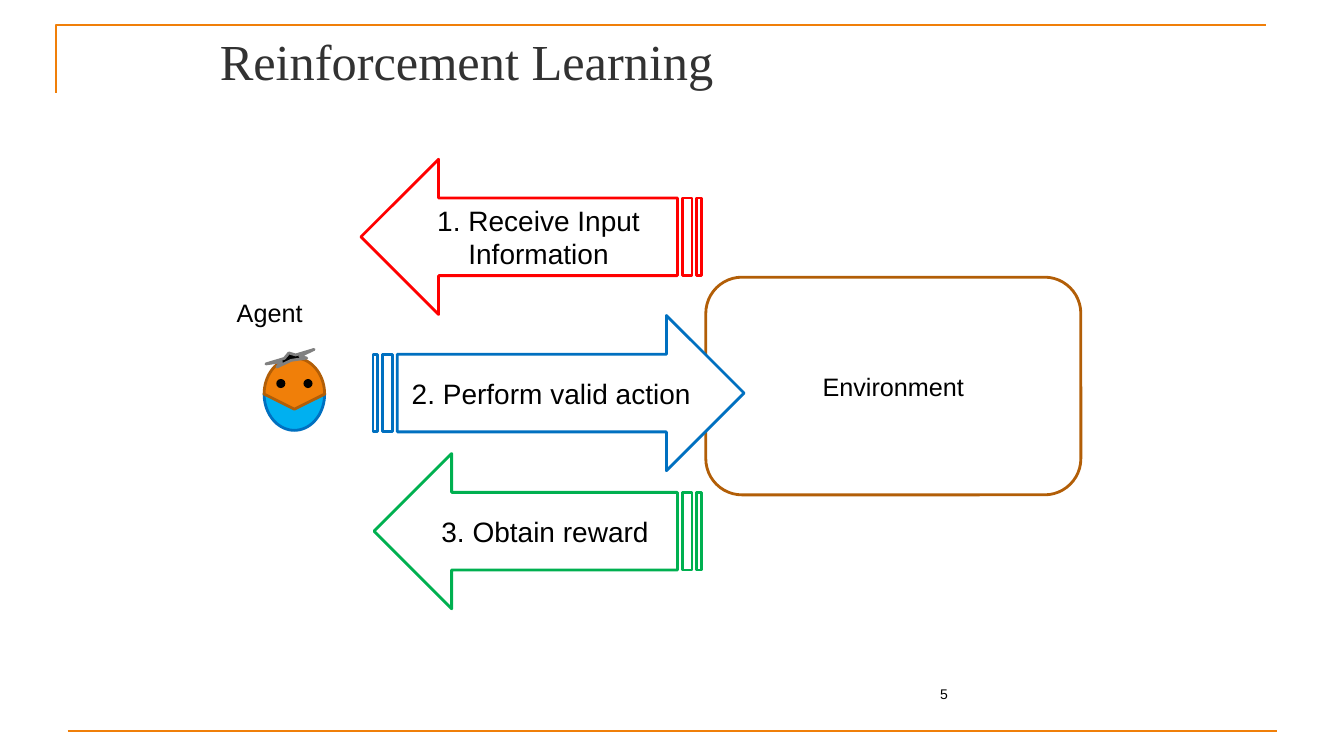
"""Build the Reinforcement Learning slide."""
import math
from dataclasses import dataclass

from lxml import etree
from pptx import Presentation
from pptx import util as u
from pptx.dml.color import RGBColor
from pptx.enum import shapes, text
from pptx.oxml import ns


@dataclass(frozen=True)
class Theme:
    """Colours, fonts and sizes of the slide."""
    white: str = "FFFFFF"
    black: str = "000000"
    title: str = "323232"
    orange: str = "F07F09"
    brown: str = "B25E07"
    sky: str = "00B0F0"
    blue: str = "0070C0"
    red: str = "FF0000"
    green: str = "00B050"
    grey: str = "808080"
    heading_font: str = "Times New Roman"
    body_font: str = "Arial"
    heading_size: int = 36
    step_size: int = 20
    label_size: int = 18
    number_size: int = 10
    rule_width: float = 1.5
    outline_width: float = 2


THEME = Theme()
KIND = shapes.MSO_SHAPE
ALIGN = text.PP_ALIGN


def paint(shape, fill=None, line=None, width=THEME.outline_width):
    """Set the fill and outline of a shape and drop its shadow."""
    shape.shadow.inherit = False
    if fill:
        shape.fill.solid()
        shape.fill.fore_color.rgb = RGBColor.from_string(fill)
    else:
        shape.fill.background()
    if line:
        shape.line.color.rgb = RGBColor.from_string(line)
        shape.line.width = u.Pt(width)
    else:
        shape.line.fill.background()
    return shape


def write(shape, words, size, align, font=THEME.body_font, color=THEME.black,
          anchor=text.MSO_ANCHOR.MIDDLE):
    """Put one formatted paragraph into a shape."""
    frame = shape.text_frame
    frame.word_wrap = True
    frame.auto_size = text.MSO_AUTO_SIZE.NONE
    frame.vertical_anchor = anchor
    frame.text = words
    para = frame.paragraphs[0]
    para.alignment = align
    para.font.name = font
    para.font.size = u.Pt(size)
    para.font.color.rgb = RGBColor.from_string(color)


def add_preset(parent, kind, place, fill, line=None):
    """Add a painted preset shape at left, top, width, height in inches."""
    return paint(parent.add_shape(kind, *map(u.Inches, place)), fill, line)


def add_outline(parent, points, fill=None, line=None, width=THEME.outline_width, close=True):
    """Add a freeform through points given in inches."""
    corners = [(u.Inches(x), u.Inches(y)) for x, y in points]
    builder = parent.build_freeform(*corners[0])
    builder.add_line_segments(corners[1:], close=close)
    return paint(builder.convert_to_shape(), fill, line, width)


def add_label(page, words, place, size, align, anchor):
    """Add a plain text box."""
    box = page.shapes.add_textbox(*map(u.Inches, place))
    write(box, words, size, align, anchor=anchor)


def add_step(page, words, place, color, leftward):
    """Add a striped arrow with its caption."""
    arrow = add_preset(page.shapes, KIND.STRIPED_RIGHT_ARROW, place, THEME.white, color)
    if leftward:
        arrow._element.spPr.xfrm.set("flipH", "1")
    write(arrow, words, THEME.step_size, ALIGN.CENTER)


def add_frame(page):
    """Draw the corner line at the top and the rule at the bottom."""
    add_outline(page.shapes, [(0.56, 0.92), (0.56, 0.25), (12.56, 0.25)],
                line=THEME.orange, width=THEME.rule_width, close=False)
    rule = page.shapes.add_connector(shapes.MSO_CONNECTOR.STRAIGHT, u.Inches(0.67),
                                     u.Inches(7.25), u.Inches(12.67), u.Inches(7.25))
    rule.line.color.rgb = RGBColor.from_string(THEME.orange)
    rule.line.width = u.Pt(THEME.rule_width)
    etree.SubElement(rule._element.spPr, ns.qn("a:effectLst"))


def half_oval(center_x, center_y, radius_x, radius_y, steps=36):
    """Return points of a half oval from right to left; a negative height points up."""
    angles = [math.pi * step / steps for step in range(steps + 1)]
    return [(center_x + radius_x * math.cos(angle), center_y + radius_y * math.sin(angle))
            for angle in angles]


def add_agent(page):
    """Draw the egg-shaped agent as one group."""
    parts = page.shapes.add_group_shape().shapes
    middle_x, middle_y, radius_x, radius_y = 2.92, 3.91, 0.3, 0.36
    add_outline(parts, half_oval(middle_x, middle_y, radius_x, radius_y),
                THEME.sky, THEME.blue)
    add_outline(parts, half_oval(middle_x, middle_y, radius_x, -radius_y) + [(middle_x, 4.06)],
                THEME.orange, THEME.brown)
    for eye_left in (3.01, 2.74):
        add_preset(parts, KIND.OVAL, (eye_left, 3.76, 0.09, 0.09), THEME.black)
    star = add_preset(parts, KIND.STAR_5_POINT, (2.63, 3.5, 0.5, 0.1), THEME.black, THEME.grey)
    star.rotation = 343.2


def main():
    """Build and save the slide."""
    deck = Presentation()
    deck.slide_width, deck.slide_height = u.Inches(13.33), u.Inches(7.5)
    page = deck.slides.add_slide(deck.slide_layouts[5])
    add_frame(page)
    title = page.shapes.title
    title.left, title.top, title.width, title.height = map(u.Inches, (2.08, 0.21, 9.75, 0.78))
    write(title, "Reinforcement Learning", THEME.heading_size, ALIGN.LEFT,
          THEME.heading_font, THEME.title)
    add_label(page, "5", (9.03, 6.68, 0.47, 0.4), THEME.number_size, ALIGN.RIGHT,
              text.MSO_ANCHOR.MIDDLE)
    environment = add_preset(page.shapes, KIND.ROUNDED_RECTANGLE, (7, 2.75, 3.72, 2.16),
                             THEME.white, THEME.brown)
    write(environment, "Environment", THEME.label_size, ALIGN.CENTER)
    add_agent(page)
    add_label(page, "Agent", (2.25, 2.9, 1.33, 0.4), THEME.label_size, ALIGN.LEFT,
              text.MSO_ANCHOR.TOP)
    steps = [
        ("1. Receive Input Information", (3.58, 1.58, 3.38, 1.54), THEME.red, True),
        ("2. Perform valid action", (3.7, 3.13, 3.68, 1.54), THEME.blue, False),
        ("3. Obtain reward", (3.71, 4.5, 3.25, 1.54), THEME.green, True),
    ]
    for step in steps:
        add_step(page, *step)
    deck.save("out.pptx")


if __name__ == "__main__":
    main()
